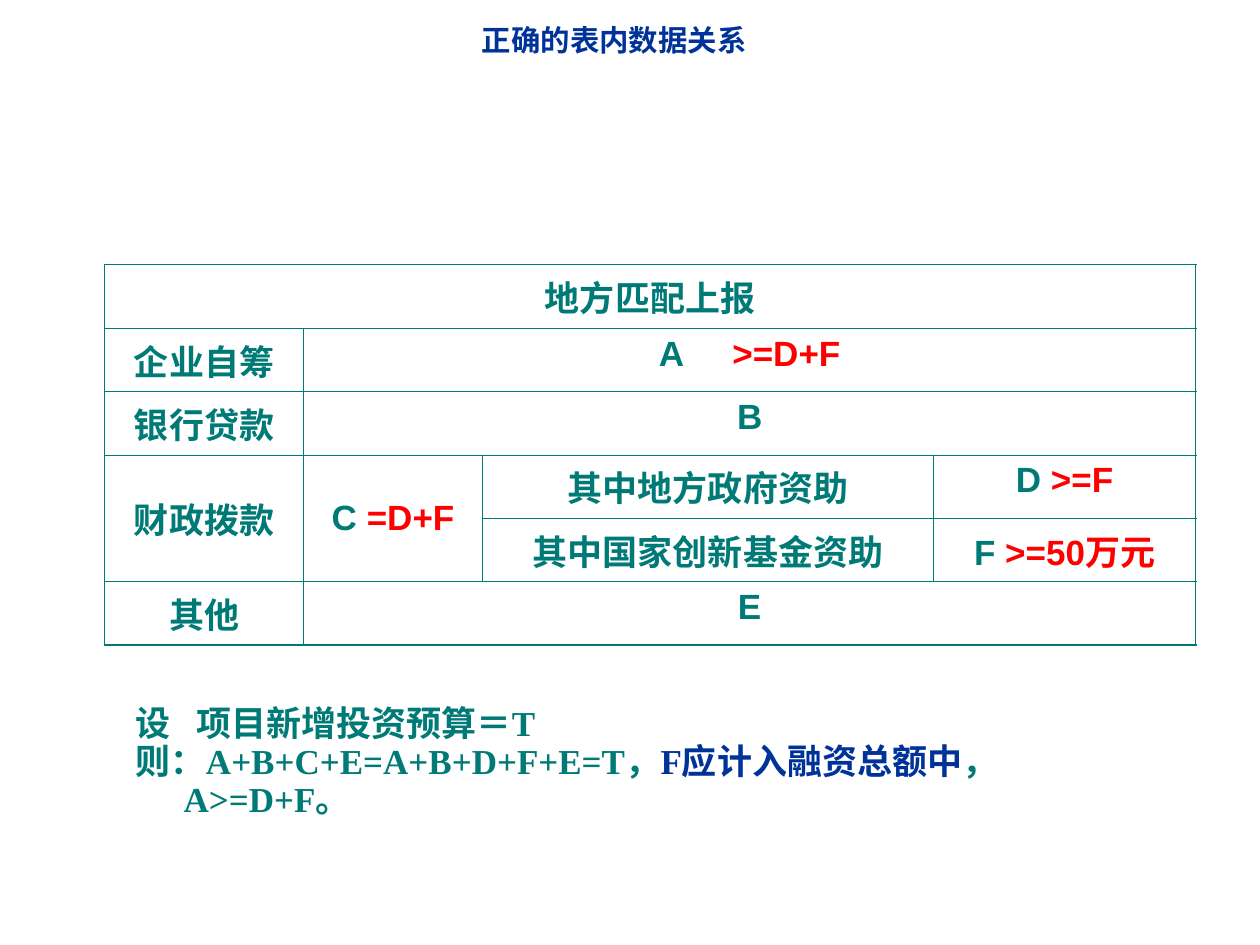
from lxml.etree import SubElement
from pptx import Presentation
from pptx.dml.color import RGBColor
from pptx.enum.text import MSO_ANCHOR, PP_ALIGN
from pptx.oxml.ns import qn
from pptx.util import Inches, Pt

TEAL, RED, NAVY = "007A77", "FF0000", "003399"
THIN, THICK = 0.45, 1.08
LABEL_FORMAT = {"name": "Arial", "size": Pt(20), "bold": True}
NOTE_FORMAT = {**LABEL_FORMAT, "name": "Times New Roman"}
TITLE_FORMAT = {**LABEL_FORMAT, "size": Pt(16.8)}


def write_spans(para, spans, font_format):
    """Add (text, colour, extra letter spacing in points) spans to a paragraph."""
    for text, colour, *spacing in spans:
        span = para.add_run()
        span.text = text
        for key, value in font_format.items():
            setattr(span.font, key, value)
        span.font.color.rgb = RGBColor.from_string(colour)
        if spacing:
            span.font._element.set("spc", str(spacing[0] * 100))


def draw_border(cell, side, width):
    line = SubElement(cell._tc.get_or_add_tcPr(), qn(f"a:ln{side}"), w=str(Pt(width)))
    fill = SubElement(line, qn("a:solidFill"))
    SubElement(fill, qn("a:srgbClr"), val=TEAL)


deck = Presentation()
deck.slide_width, deck.slide_height = Inches(10), Inches(7.5)
page = deck.slides.add_slide(deck.slide_layouts[6])

# Funding table: column widths, and (row, column, rows, columns, spans) per cell
column_widths = [1.58, 1.42, 3.58, 2.08]
row_count, row_height = 6, 0.43
column_count = len(column_widths)
cells = [
    (0, 0, 1, 4, [("地方匹配上报", TEAL)]),
    (1, 0, 1, 1, [("企业自筹", TEAL)]),
    (1, 1, 1, 3, [("A", TEAL), (" ", TEAL, 22), (">=D+F", RED)]),
    (2, 0, 1, 1, [("银行贷款", TEAL)]),
    (2, 1, 1, 3, [("B", TEAL)]),
    (3, 0, 2, 1, [("财政拨款", TEAL)]),
    (3, 1, 2, 1, [("C ", TEAL), ("=D+F", RED)]),
    (3, 2, 1, 1, [("其中地方政府资助", TEAL)]),
    (3, 3, 1, 1, [("D ", TEAL), (">=F", RED)]),
    (4, 2, 1, 1, [("其中国家创新基金资助", TEAL)]),
    (4, 3, 1, 1, [("F ", TEAL), (">=50万元", RED)]),
    (5, 0, 1, 1, [("其他", TEAL)]),
    (5, 1, 1, 3, [("E", TEAL)]),
]
table = page.shapes.add_table(
    row_count, column_count, Inches(0.83), Inches(2.1),
    Inches(sum(column_widths)), Inches(row_count * row_height)).table
table.first_row = table.horz_banding = False
for column, width in zip(table.columns, column_widths):
    column.width = Inches(width)
for row in table.rows:
    row.height = Inches(row_height)

for top, left, rows, columns, spans in cells:
    cell = table.cell(top, left)
    bottom, right = top + rows, left + columns
    if rows * columns > 1:
        cell.merge(table.cell(bottom - 1, right - 1))
    if rows > 1:
        cell.vertical_anchor = MSO_ANCHOR.MIDDLE
    on_edge = {"L": left == 0, "R": right == column_count,
               "T": top == 0, "B": bottom == row_count}
    for side, outer in on_edge.items():
        draw_border(cell, side, THICK if outer else THIN)
    cell.fill.background()
    para = cell.text_frame.paragraphs[0]
    para.alignment = PP_ALIGN.CENTER
    write_spans(para, spans, LABEL_FORMAT)

# Note below the table, with a hanging indent
note = page.shapes.add_textbox(Inches(0.98), Inches(5.56), Inches(8.17), Inches(0.57))
note.text_frame.word_wrap = True
note_lines = [
    [("设", TEAL), (" ", TEAL, 10), ("项目新增投资预算＝T", TEAL)],
    [("则：A+B+C+E=A+B+D+F+E=T，", TEAL), ("F应计入融资总额中", NAVY),
     ("，A>=D+F。", TEAL)],
]
for index, spans in enumerate(note_lines):
    para = note.text_frame.add_paragraph() if index else note.text_frame.paragraphs[0]
    para.line_spacing = 0.9
    properties = para._p.get_or_add_pPr()
    properties.set("marL", str(Inches(0.38)))
    properties.set("indent", str(Inches(-0.38)))
    write_spans(para, spans, NOTE_FORMAT)

title = page.shapes.add_textbox(Inches(2.79), Inches(0.13), Inches(4.17), Inches(0.39))
title.text_frame.word_wrap = True
para = title.text_frame.paragraphs[0]
para.alignment = PP_ALIGN.CENTER
para.space_before = Pt(6)
write_spans(para, [("正确的表内数据关系", NAVY)], TITLE_FORMAT)

deck.save("out.pptx")
